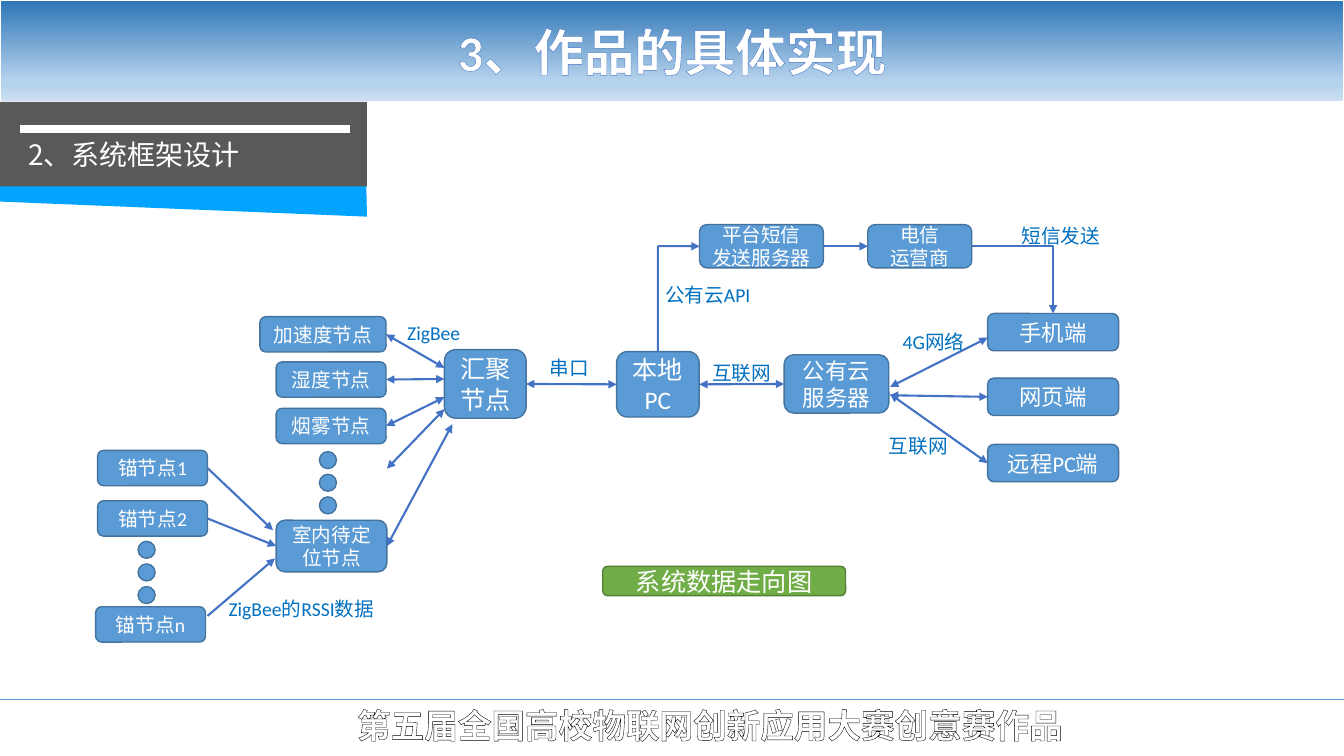
from copy import deepcopy

from lxml import etree
from pptx import Presentation
from pptx.dml.color import RGBColor
from pptx.enum.shapes import MSO_CONNECTOR, MSO_SHAPE
from pptx.enum.text import MSO_ANCHOR, PP_ALIGN
from pptx.oxml.ns import qn
from pptx.util import Cm, Pt

RECT, ROUND, OVAL = MSO_SHAPE.RECTANGLE, MSO_SHAPE.ROUNDED_RECTANGLE, MSO_SHAPE.OVAL
STRAIGHT, ELBOW = MSO_CONNECTOR.STRAIGHT, MSO_CONNECTOR.ELBOW
LEFT, CENTER = PP_ALIGN.LEFT, PP_ALIGN.CENTER
MIDDLE, TOP_ANCHOR = MSO_ANCHOR.MIDDLE, MSO_ANCHOR.TOP
TOP, WEST, EAST = 0, 1, 3  # connection sites

# Content, lengths in cm
WIDTH, HEIGHT = 33.87, 19.05
LATIN, CJK, CJK_JP = "Calibri", "Noto Sans CJK SC", "Noto Sans CJK JP"
WHITE, BLUE, EDGE, ARROW, LABEL = "FFFFFF", "5B9BD5", "43739E", "4472C4", "0070C0"

TITLE = "3、作品的具体实现"
SECTION = "2、系统框架设计"
FOOTER = "第五届全国高校物联网创新应用大赛创意赛作品"
CAPTION = "系统数据走向图"
BANNER_STOPS = [(0, "2E75B6"), (79, "B5D2EC"), (84, "B5D2EC"), (100, "CEE1F2")]

# name: lines, size, (left, top, width, height)
NODES = {
    "accel": (["加速度节点"], 14, (6.55, 7.98, 3.18, 0.89)),
    "humid": (["湿度节点"], 14, (6.96, 9.12, 2.77, 0.89)),
    "smoke": (["烟雾节点"], 14, (6.96, 10.29, 2.77, 0.89)),
    "anchor1": (["锚节点1"], 14, (2.46, 11.35, 2.77, 0.89)),
    "anchor2": (["锚节点2"], 14, (2.46, 12.62, 2.77, 0.89)),
    "anchor_n": (["锚节点n"], 14, (2.41, 15.29, 2.77, 0.89)),
    "indoor": (["室内待定位节点"], 14, (6.96, 13.11, 2.79, 1.3)),
    "sink": (["汇聚节点"], 18, (11.2, 8.81, 2.06, 1.73)),
    "pc": (["本地PC"], 18, (15.54, 8.86, 2.08, 1.65)),
    "cloud": (["公有云服务器"], 16, (19.76, 8.94, 2.64, 1.47)),
    "phone": (["手机端"], 16, (24.89, 7.9, 3.3, 0.94)),
    "web": (["网页端"], 16, (24.89, 9.53, 3.3, 0.94)),
    "remote": (["远程PC端"], 16, (24.89, 11.2, 3.3, 0.94)),
    "sms": (["平台短信", "发送服务器"], 14, (17.63, 5.66, 3.12, 1.09)),
    "carrier": (["电信", "运营商"], 14, (21.87, 5.66, 2.62, 1.09)),
}

# start, end, arrowheads; an end is (node, site) or a point
SMS_CORNER = (16.58, 6.2)
LINKS = [
    (("accel", EAST), (11.2, 9.27), "both"),
    (("humid", EAST), (11.2, 9.55), "both"),
    (("smoke", EAST), (11.2, 10.01), "both"),
    ((9.75, 11.81), (11.2, 10.31), "both"),
    (("indoor", EAST), (11.4, 10.69), "both"),
    (("sink", EAST), ("pc", WEST), "both"),
    (("pc", EAST), ("cloud", WEST), "both"),
    ((22.43, 9.75), (24.89, 8.51), "both"),
    ((22.43, 9.96), ("web", WEST), "both"),
    ((22.43, 9.93), ("remote", WEST), "both"),
    (("pc", TOP), SMS_CORNER, "none"),
    (SMS_CORNER, ("sms", WEST), "end"),
    (("sms", EAST), ("carrier", WEST), "end"),
    (("anchor1", EAST), (6.88, 13.36), "end"),
    (("anchor2", EAST), ("indoor", WEST), "end"),
    ((5.23, 15.52), (6.93, 14.07), "end"),
]

# text, left, top, width, wraps
LABELS = [
    ("公有云API", 16.51, 7.01, 2.69, True),
    ("串口", 13.61, 8.84, 1.5, False),
    ("互联网", 17.7, 8.97, 2.01, False),
    ("4G网络", 22.5, 8.18, 2.08, True),
    ("ZigBee", 10.01, 7.95, 1.85, False),
    ("短信发送", 25.5, 5.51, 2.51, False),
    ("ZigBee的RSSI数据", 5.51, 14.91, 4.22, True),
    ("互联网", 22.15, 10.82, 2.01, False),
]

DOT_COLUMNS = [(8.05, 11.38), (3.48, 13.64)]
DOT, DOT_STEP = 0.43, 0.57

prs = Presentation()
prs.slide_width, prs.slide_height = Cm(WIDTH), Cm(HEIGHT)
s = prs.slides.add_slide(prs.slide_layouts[6])


def rgb(color):
    return RGBColor.from_string(color)


def write(sp, lines, size, color=WHITE, align=CENTER, anchor=MIDDLE, wrap=True,
          bold=False, font=LATIN, cjk=CJK, outline=None):
    tf = sp.text_frame
    tf.word_wrap, tf.vertical_anchor = wrap, anchor
    for i, line in enumerate(lines):
        p = tf.add_paragraph() if i else tf.paragraphs[0]
        p.alignment = align
        r = p.add_run()
        r.text = line
        f = r.font
        f.size, f.bold, f.name = Pt(size), bold, font
        f.color.rgb = rgb(color)
        rpr = f._element
        rpr.find(qn("a:latin")).addnext(etree.Element(qn("a:ea"), typeface=cjk))
        if outline:
            ln = etree.Element(qn("a:ln"), w=str(Pt(outline[1])))
            fill = etree.SubElement(ln, qn("a:solidFill"))
            etree.SubElement(fill, qn("a:srgbClr"), val=outline[0])
            rpr.insert(0, ln)


def paint(sp, fill, line=None, width=1):
    sp.shadow.inherit = False
    if fill:
        sp.fill.solid()
        sp.fill.fore_color.rgb = rgb(fill)
    if line:
        sp.line.color.rgb = rgb(line)
        sp.line.width = Pt(width)
    else:
        sp.line.fill.background()
    return sp


def shape(kind, box, fill, line=None, width=1):
    return paint(s.shapes.add_shape(kind, *map(Cm, box)), fill, line, width)


def text(box, line, size, **style):
    sp = s.shapes.add_textbox(*map(Cm, box))
    write(sp, [line], size, anchor=TOP_ANCHOR, **style)


def connect(start, end, color, width, heads="none", kind=STRAIGHT):
    joins = [isinstance(e[0], str) for e in (start, end)]
    points = [(0, 0) if joined else e for e, joined in zip((start, end), joins)]
    c = s.shapes.add_connector(kind, *(Cm(v) for pt in points for v in pt))
    if joins[0]:
        c.begin_connect(nodes[start[0]], start[1])
    if joins[1]:
        c.end_connect(nodes[end[0]], end[1])
    c.line.color.rgb, c.line.width = rgb(color), Pt(width)
    ln = c.line._get_or_add_ln()
    if heads == "both":
        etree.SubElement(ln, qn("a:headEnd"), type="triangle")
    if heads != "none":
        etree.SubElement(ln, qn("a:tailEnd"), type="triangle")
    etree.SubElement(c._element.spPr, qn("a:effectLst"))
    return c


# Title banner
banner = shape(RECT, (0, 0, WIDTH, 2.57), None, WHITE, 1.5)
banner.fill.gradient()
banner.fill.gradient_angle = 270
stops = banner._element.spPr.find(qn("a:gradFill")).find(qn("a:gsLst"))
for _ in BANNER_STOPS[2:]:
    stops.append(deepcopy(stops[0]))
for stop, (position, color) in zip(banner.fill.gradient_stops, BANNER_STOPS):
    stop.position = position / 100
    stop.color.rgb = rgb(color)
write(banner, [TITLE], 36, bold=True, outline=(ARROW, 0.8))

# Footer
connect((0, 17.63), (WIDTH, 17.63), BLUE, 0.5)
text((6.5, 17.63, 22.78, 1.27), FOOTER, 24, bold=True, font=CJK, outline=("000000", 1))

# Section tag
builder = s.shapes.build_freeform(Cm(0), Cm(2.9))
builder.add_line_segments([(Cm(x), Cm(y)) for x, y in [(9.19, 2.9), (9.25, 5.46), (0, 5.08)]])
paint(builder.convert_to_shape(), "02A4FF")
shape(RECT, (0, 2.57, 9.25, 2.13), "595959")
text((0.46, 3.35, 9.27, 1.12), SECTION, 20, align=LEFT, font=CJK_JP, cjk=CJK_JP)
connect((0.51, 3.25), (8.81, 3.25), WHITE, 6)

# Caption, nodes and dots
write(shape(ROUND, (15.19, 14.27, 6.12, 0.74), "70AD47", "538035"), [CAPTION], 18)
nodes = {}
for name, (lines, size, box) in NODES.items():
    nodes[name] = shape(ROUND, box, BLUE, EDGE)
    write(nodes[name], lines, size)
for x, y in DOT_COLUMNS:
    for i in range(3):
        shape(OVAL, (x, y + i * DOT_STEP, DOT, DOT), BLUE, EDGE)

# Arrows
for start, end, heads in LINKS:
    connect(start, end, ARROW, 1.5, heads)
bend = connect(("carrier", EAST), ("phone", TOP), ARROW, 1.5, "end", ELBOW)
bend._element.spPr.find(qn("a:prstGeom")).set("prst", "bentConnector2")

# Arrow labels
for label, x, y, w, wraps in LABELS:
    text((x, y, w, 0.86), label, 14, color=LABEL, align=LEFT, wrap=wraps)

prs.save("out.pptx")
